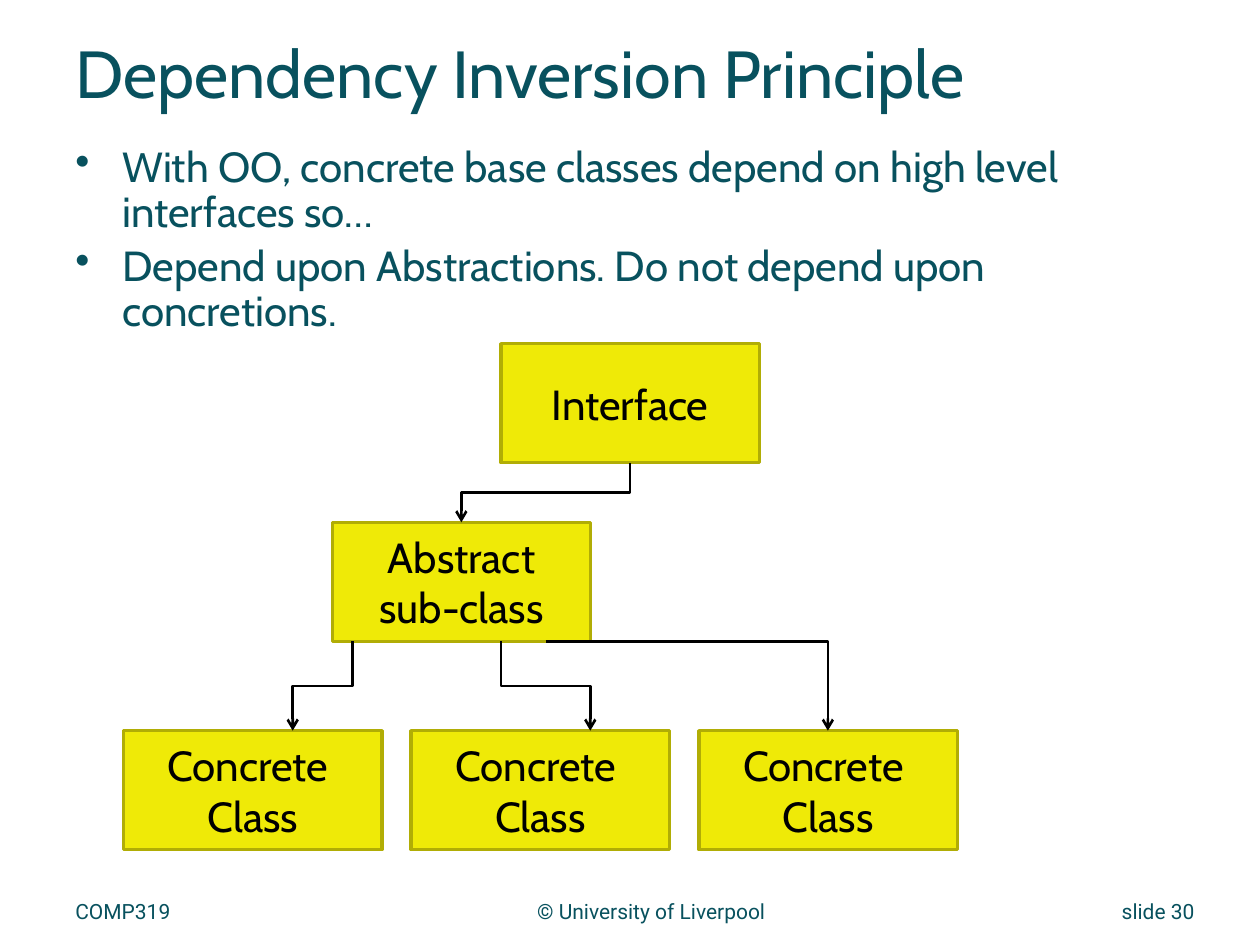
from lxml import etree
from pptx import Presentation
from pptx.dml.color import RGBColor
from pptx.enum.shapes import MSO_CONNECTOR as LINK, MSO_SHAPE as SHAPE
from pptx.enum.text import MSO_ANCHOR as ANCHOR, PP_ALIGN as ALIGN
from pptx.oxml.ns import qn
from pptx.util import Cm, Pt

COLORS = {"text": "08515E", "box": "EFEA07", "edge": "B1AD05", "ink": "000000"}
COLORS = {name: RGBColor.from_string(value) for name, value in COLORS.items()}


def write(frame, lines, size, font, color, align=ALIGN.LEFT, bullets=False):
    """Fill a text frame, one paragraph per line."""
    frame.word_wrap = True
    for number, line in enumerate(lines):
        para = frame.add_paragraph() if number else frame.paragraphs[0]
        para.alignment = align
        if bullets:
            para.line_spacing = 0.9
            para.space_before = Pt(4.8 if number else 0)
            props = para._p.get_or_add_pPr()
            props.set("marL", str(Cm(0.95)))
            props.set("indent", str(Cm(-0.95)))
            etree.SubElement(props, qn("a:buChar")).set("char", "•")
        span = para.add_run()
        span.text = line
        style = {"size": Pt(size), "name": font}
        for key, value in style.items():
            setattr(span.font, key, value)
        span.font.color.rgb = COLORS[color]


deck = Presentation()
deck.slide_width, deck.slide_height = Cm(25.4), Cm(19.05)
page = deck.slides.add_slide(deck.slide_layouts[6])

# Title, bullets and footer
title = page.shapes.add_textbox(Cm(1.27), Cm(0.53), Cm(22.86), Cm(1.83))
title.text_frame.vertical_anchor = ANCHOR.MIDDLE
write(title.text_frame, ["Dependency Inversion Principle"], 38, "Cabin", "text")

body = page.shapes.add_textbox(Cm(1.27), Cm(2.82), Cm(21.79), Cm(12.7))
write(body.text_frame, [
    "With OO, concrete base classes depend on high level interfaces so…",
    "Depend upon Abstractions. Do not depend upon concretions.",
], 24, "Cabin", "text", bullets=True)

footers = [
    ("COMP319", 1.27, 8.46, ALIGN.LEFT),
    ("© University of Liverpool", 10.16, 5.94, ALIGN.CENTER),
    ("slide 30", 20.52, 3.81, ALIGN.RIGHT),
]
for words, left, width, align in footers:
    footer = page.shapes.add_textbox(Cm(left), Cm(17.98), Cm(width), Cm(0.9))
    write(footer.text_frame, [words], 12, "Roboto", "text", align)

# Class boxes
BOX_WIDTH, BOX_HEIGHT = 5.21, 2.4
INTERFACE_TOP, ABSTRACT_TOP, CONCRETE_TOP = 6.93, 10.53, 14.73
classes = [
    (["Interface"], 10.1, INTERFACE_TOP),
    (["Abstract", "sub-class"], 6.7, ABSTRACT_TOP),
]
for column in range(3):
    classes.append((["Concrete ", "Class"], 2.49 + 5.8 * column, CONCRETE_TOP))
for lines, left, top in classes:
    box = page.shapes.add_shape(SHAPE.RECTANGLE, Cm(left), Cm(top),
                                Cm(BOX_WIDTH), Cm(BOX_HEIGHT))
    box.shadow.inherit = False
    box.fill.solid()
    box.fill.fore_color.rgb = COLORS["box"]
    box.line.color.rgb = COLORS["edge"]
    box.line.width = Pt(2)
    box.text_frame.vertical_anchor = ANCHOR.MIDDLE
    write(box.text_frame, lines, 24, "Cabin", "ink", ALIGN.CENTER)

# Arrows: start x, start y, end x, end y, single corner or not
ABSTRACT_BOTTOM = ABSTRACT_TOP + BOX_HEIGHT
arrows = [
    (12.7, INTERFACE_TOP + BOX_HEIGHT, 9.3, ABSTRACT_TOP, False),
    (11.0, ABSTRACT_BOTTOM, 16.69, CONCRETE_TOP, True),
    (10.1, ABSTRACT_BOTTOM, 11.9, CONCRETE_TOP, False),
    (7.1, ABSTRACT_BOTTOM, 5.9, CONCRETE_TOP, False),
]
for x1, y1, x2, y2, single_corner in arrows:
    ends = (x1, y1, x2, y2)
    if not single_corner:
        # Lay the elbow on its side; the quarter turn makes it leave downwards
        mid_x, mid_y = (x1 + x2) / 2, (y1 + y2) / 2
        half_run = (y2 - y1) / 2 * (1 if x2 < x1 else -1)
        half_rise = abs(x2 - x1) / 2
        ends = (mid_x - half_run, mid_y - half_rise,
                mid_x + half_run, mid_y + half_rise)
    arrow = page.shapes.add_connector(LINK.ELBOW, *[Cm(end) for end in ends])
    arrow.line.color.rgb = COLORS["ink"]
    arrow.line.width = Pt(1.5)
    props = arrow._element.spPr
    if single_corner:
        props.find(qn("a:prstGeom")).set("prst", "bentConnector2")
    else:
        turn = 90 if x2 < x1 else 270
        props.find(qn("a:xfrm")).set("rot", str(turn * 60000))
    etree.SubElement(props.find(qn("a:ln")), qn("a:tailEnd")).set("type", "arrow")
    etree.SubElement(props, qn("a:effectLst"))

deck.save("out.pptx")
